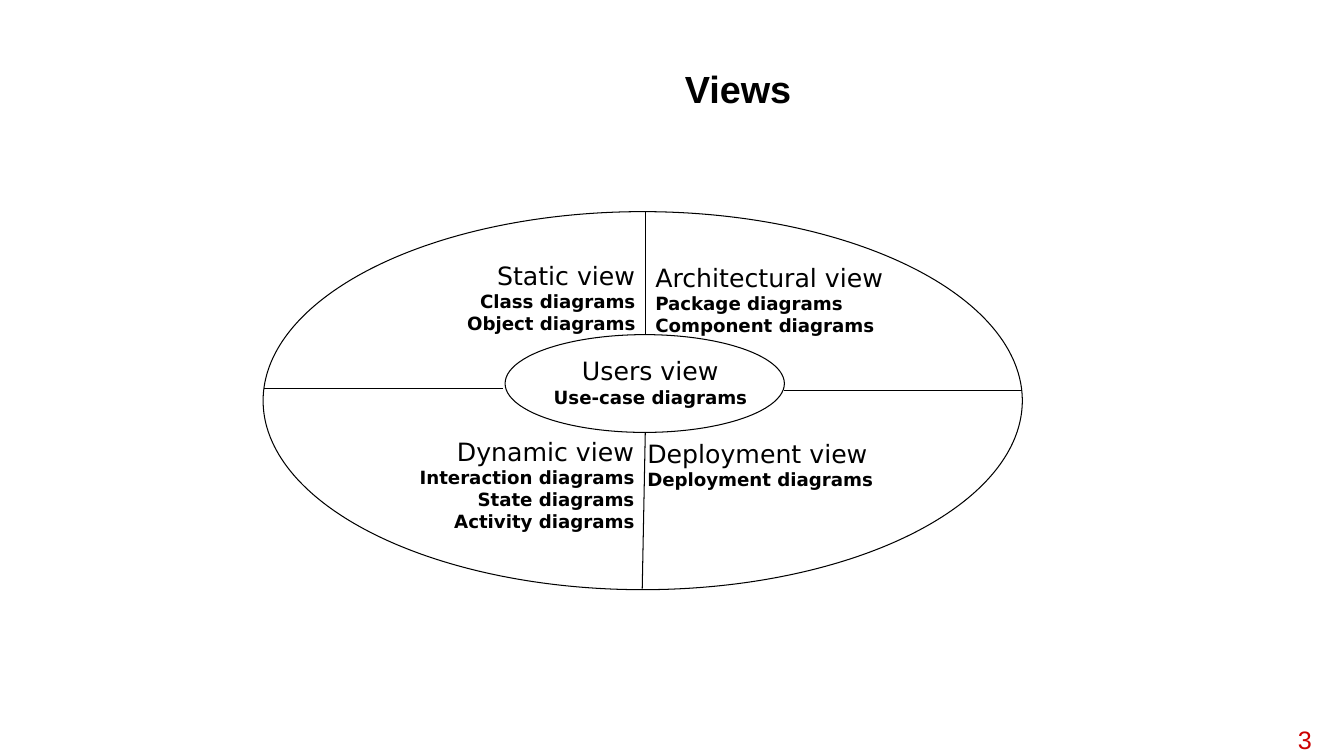
"""Build the slide of the five views and the diagrams that describe them."""
from dataclasses import dataclass

from lxml import etree
from pptx import Presentation
from pptx.dml import color
from pptx.enum import shapes, text
from pptx.oxml import ns
from pptx.util import Inches, Pt


@dataclass(frozen=True)
class Theme:
    ink: color.RGBColor = color.RGBColor(0, 0, 0)
    accent: color.RGBColor = color.RGBColor(0xCC, 0, 0)
    title_font: str = "Arial"
    view_font: str = "DejaVu Sans"
    title_size: float = 27
    view_size: float = 18
    diagram_size: float = 13
    number_size: float = 18
    outline: float = 0.75


@dataclass(frozen=True)
class Box:
    left: float
    top: float
    width: float
    height: float

    def lengths(self) -> tuple:
        return tuple(Inches(v) for v in (self.left, self.top, self.width, self.height))


@dataclass(frozen=True)
class View:
    box: Box
    align: text.PP_ALIGN
    name: str
    diagrams: tuple[str, ...]


@dataclass(frozen=True)
class Divider:
    start: tuple[float, float]
    end: tuple[float, float]


THEME = Theme()
LEFT, CENTER, RIGHT = text.PP_ALIGN.LEFT, text.PP_ALIGN.CENTER, text.PP_ALIGN.RIGHT

RINGS = (Box(2.61, 2.1, 7.53, 3.75), Box(5.01, 3.32, 2.77, 0.97))

DIVIDERS = (
    Divider((6.4, 2.1), (6.4, 3.32)),
    Divider((6.4, 4.29), (6.37, 5.84)),
    Divider((2.62, 3.85), (4.99, 3.85)),
    Divider((7.78, 3.87), (10.14, 3.87)),
)

VIEWS = (
    View(Box(4.57, 2.53, 1.78, 1), RIGHT, "Static view",
         ("Class diagrams", "Object diagrams")),
    View(Box(6.37, 4.3, 2.35, 0.74), LEFT, "Deployment view",
         ("Deployment diagrams",)),
    View(Box(4.07, 4.28, 2.27, 1.26), RIGHT, "Dynamic view",
         ("Interaction diagrams", "State diagrams", "Activity diagrams")),
    View(Box(5.43, 3.48, 2.04, 0.74), CENTER, "Users view",
         ("Use-case diagrams",)),
    View(Box(6.45, 2.55, 2.37, 1), LEFT, "Architectural view",
         ("Package diagrams", "Component diagrams")),
)


def apply(target, values: dict) -> None:
    for name, value in values.items():
        setattr(target, name, value)


def set_frame(frame, anchor: text.MSO_ANCHOR, side: float) -> None:
    apply(frame, {
        "word_wrap": True,
        "auto_size": text.MSO_AUTO_SIZE.NONE,
        "vertical_anchor": anchor,
        "margin_left": Inches(side),
        "margin_right": Inches(side),
        "margin_top": Inches(0.05),
        "margin_bottom": Inches(0.05),
    })


def write(paragraph, words: str, align: text.PP_ALIGN, font: str, size: float,
          bold: bool = False, ink: color.RGBColor = THEME.ink) -> None:
    paragraph.alignment = align
    run = paragraph.add_run()
    run.text = words
    apply(run.font, {"name": font, "size": Pt(size), "bold": bold})
    run.font.color.rgb = ink


def set_outline(line) -> None:
    line.color.rgb = THEME.ink
    line.width = Pt(THEME.outline)


def add_title(slide, words: str, box: Box) -> None:
    title = slide.shapes.title
    apply(title, dict(zip(("left", "top", "width", "height"), box.lengths())))
    set_frame(title.text_frame, text.MSO_ANCHOR.MIDDLE, 0.1)
    heading = title.text_frame.paragraphs[0]
    heading.line_spacing = 0.9
    write(heading, words, CENTER, THEME.title_font, THEME.title_size, True)


def add_number(slide, words: str, box: Box) -> None:
    number = slide.shapes.add_textbox(*box.lengths()).text_frame
    set_frame(number, text.MSO_ANCHOR.MIDDLE, 0.1)
    write(number.paragraphs[0], words, RIGHT, THEME.title_font,
          THEME.number_size, ink=THEME.accent)


def add_ring(slide, box: Box) -> None:
    ring = slide.shapes.add_shape(shapes.MSO_SHAPE.OVAL, *box.lengths())
    ring.shadow.inherit = False
    ring.fill.background()
    set_outline(ring.line)


def add_divider(slide, divider: Divider) -> None:
    ends = (Inches(v) for v in divider.start + divider.end)
    line = slide.shapes.add_connector(shapes.MSO_CONNECTOR.STRAIGHT, *ends)
    set_outline(line.line)
    etree.SubElement(line._element.spPr, ns.qn("a:effectLst"))


def add_view(slide, view: View) -> None:
    frame = slide.shapes.add_textbox(*view.box.lengths()).text_frame
    set_frame(frame, text.MSO_ANCHOR.TOP, 0.05)
    write(frame.paragraphs[0], view.name, view.align, THEME.view_font, THEME.view_size)
    for diagram in view.diagrams:
        write(frame.add_paragraph(), diagram, view.align, THEME.view_font,
              THEME.diagram_size, True)


def main() -> None:
    deck = Presentation()
    apply(deck, {"slide_width": Inches(13.33), "slide_height": Inches(7.5)})
    slide = deck.slides.add_slide(deck.slide_layouts.get_by_name("Title Only"))
    add_title(slide, "Views", Box(2.23, 0.4, 10.18, 1.02))
    add_number(slide, "3", Box(12.42, 7.16, 0.69, 0.36))
    for ring in RINGS:
        add_ring(slide, ring)
    for divider in DIVIDERS:
        add_divider(slide, divider)
    for view in VIEWS:
        add_view(slide, view)
    deck.save("out.pptx")


if __name__ == "__main__":
    main()
